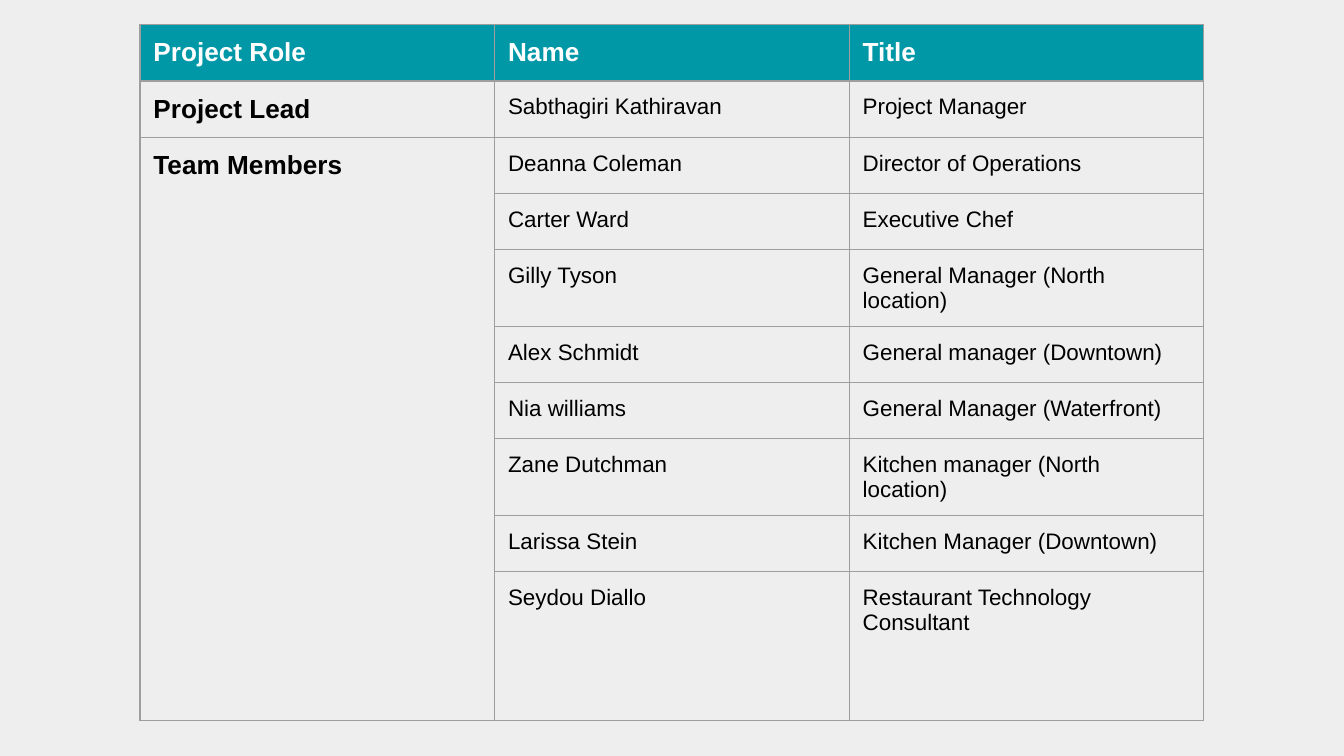
import dataclasses

import lxml.etree
import pptx
import pptx.dml.color
import pptx.oxml.ns
import pptx.util

Pt = pptx.util.Pt


@dataclasses.dataclass(frozen=True)
class Theme:
    background: str = "EEEEEE"
    header_fill: str = "0097A7"
    header_text: str = "FFFFFF"
    body_text: str = "000000"
    border: str = "9E9E9E"
    border_width: float = 0.75
    font: str = "Arial"
    heading_size: float = 14
    body_size: float = 12
    cell_inset: float = 7.2


THEME = Theme()

HEADINGS = ("Project Role", "Name", "Title")
TEAM = {
    "Project Lead": [("Sabthagiri Kathiravan", "Project Manager")],
    "Team Members": [
        ("Deanna Coleman", "Director of Operations"),
        ("Carter Ward", "Executive Chef"),
        ("Gilly Tyson", "General Manager (North location)"),
        ("Alex Schmidt", "General manager (Downtown)"),
        ("Nia williams", "General Manager (Waterfront)"),
        ("Zane Dutchman", "Kitchen manager (North location)"),
        ("Larissa Stein", "Kitchen Manager (Downtown)"),
        ("Seydou Diallo", "Restaurant Technology Consultant"),
    ],
}


def rgb(color):
    return pptx.dml.color.RGBColor.from_string(color)


def write_text(cell, text, size=THEME.body_size, bold=False, color=THEME.body_text):
    run = cell.text_frame.paragraphs[0].add_run()
    run.text = text
    run.font.name = THEME.font
    run.font.size = Pt(size)
    run.font.bold = bold
    run.font.color.rgb = rgb(color)


def style_cell(cell, fill=None):
    """Set insets, four borders and the fill of one cell."""
    inset = Pt(THEME.cell_inset)
    cell.margin_left = cell.margin_right = inset
    cell.margin_top = cell.margin_bottom = inset
    qn = pptx.oxml.ns.qn
    properties = cell._tc.get_or_add_tcPr()
    for side in ("a:lnL", "a:lnR", "a:lnT", "a:lnB"):
        line = lxml.etree.SubElement(properties, qn(side), w=str(Pt(THEME.border_width)))
        solid = lxml.etree.SubElement(line, qn("a:solidFill"))
        lxml.etree.SubElement(solid, qn("a:srgbClr"), val=THEME.border)
    if fill:
        cell.fill.solid()
        cell.fill.fore_color.rgb = rgb(fill)
    else:
        cell.fill.background()


def add_team_table(slide, left, top, width, height, row_height=30):
    row_count = 1 + sum(len(members) for members in TEAM.values())
    frame = slide.shapes.add_table(
        row_count, len(HEADINGS), Pt(left), Pt(top), Pt(width), Pt(height))
    table = frame.table
    table.horz_banding = False

    # Grid: equal columns, the last row takes the remaining height
    for column in table.columns:
        column.width = Pt(width / len(HEADINGS))
    for row in table.rows:
        row.height = Pt(row_height)
    table.rows[row_count - 1].height = Pt(height - row_height * (row_count - 1))
    for row_index, row in enumerate(table.rows):
        for cell in row.cells:
            style_cell(cell, THEME.header_fill if row_index == 0 else None)

    # Header row
    for column_index, heading in enumerate(HEADINGS):
        write_text(table.cell(0, column_index), heading,
                   size=THEME.heading_size, bold=True, color=THEME.header_text)

    # One role cell beside its members
    row_index = 1
    for role, members in TEAM.items():
        role_cell = table.cell(row_index, 0)
        if len(members) > 1:
            role_cell.merge(table.cell(row_index + len(members) - 1, 0))
        write_text(role_cell, role, size=THEME.heading_size, bold=True)
        for name, title in members:
            write_text(table.cell(row_index, 1), name)
            write_text(table.cell(row_index, 2), title)
            row_index += 1


def main():
    presentation = pptx.Presentation()
    presentation.slide_width = Pt(720)
    presentation.slide_height = Pt(405)
    slide = presentation.slides.add_slide(presentation.slide_layouts[6])
    slide.background.fill.solid()
    slide.background.fill.fore_color.rgb = rgb(THEME.background)
    add_team_table(slide, left=75, top=13.2, width=570, height=350)
    presentation.save("out.pptx")


if __name__ == "__main__":
    main()
